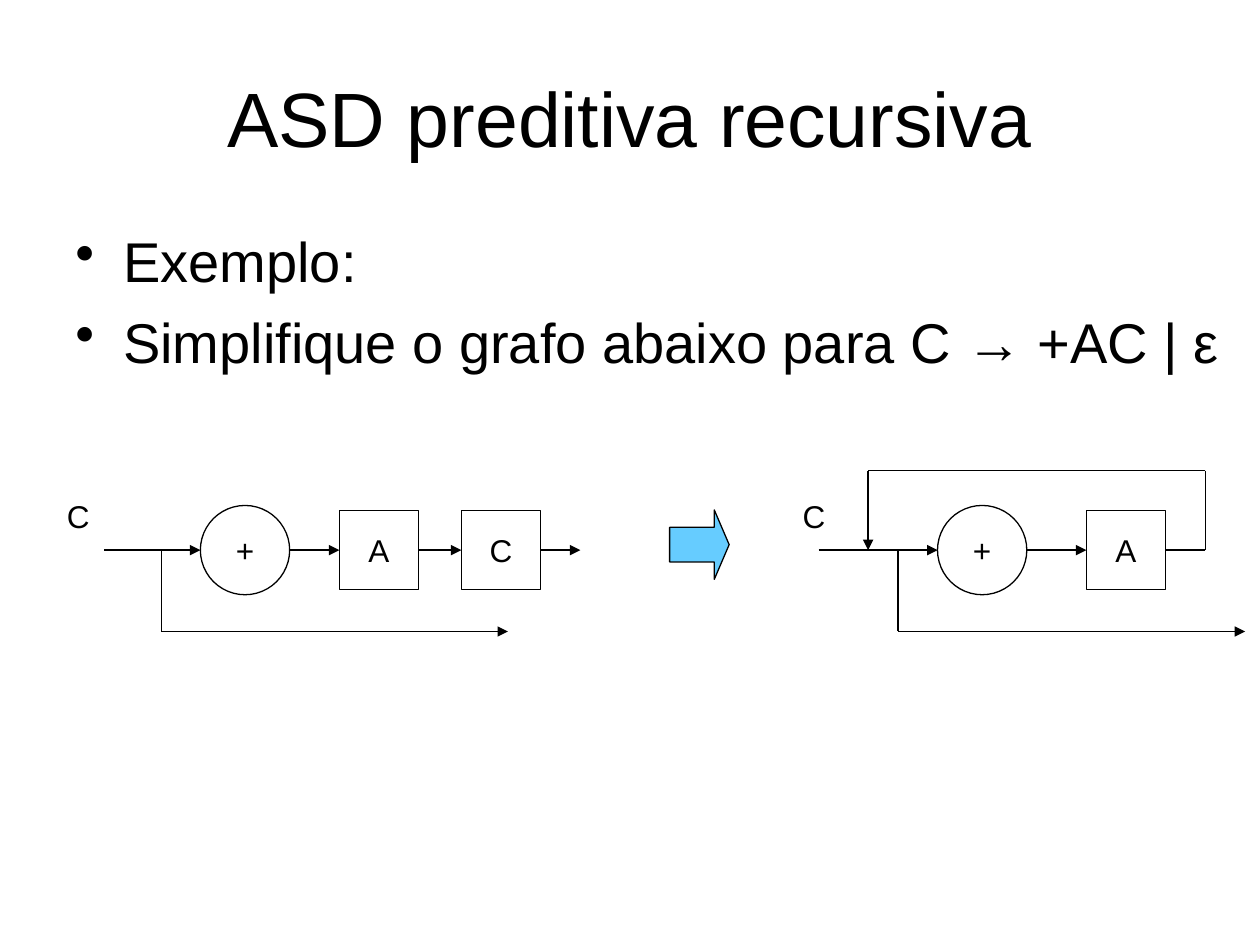
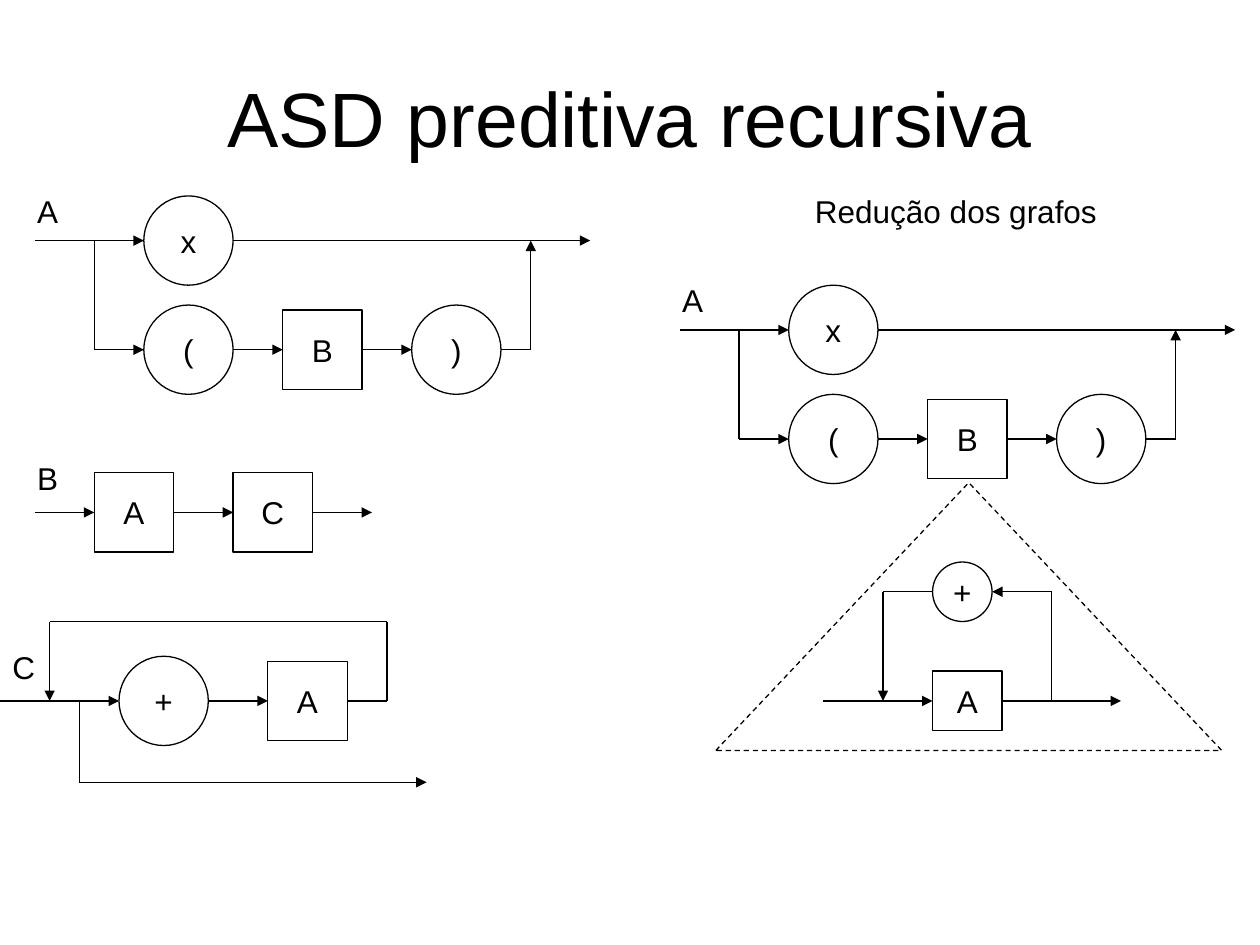
from itertools import pairwise

from lxml.etree import SubElement
from pptx import Presentation
from pptx.dml.color import RGBColor
from pptx.enum.dml import MSO_LINE
from pptx.enum.shapes import MSO_CONNECTOR, MSO_SHAPE
from pptx.enum.text import MSO_ANCHOR, PP_ALIGN
from pptx.oxml.ns import qn
from pptx.util import Inches, Mm, Pt

BLACK = RGBColor(0x00, 0x00, 0x00)
SKY = RGBColor(0x66, 0xCC, 0xFF)
FONT = "Arial"
THIN = Pt(0.75)
LEFT, RIGHT = 1, 3  # connection sites of a rectangle
CIRCLE, SQUARE = 9, 8  # usual node sizes, in grid cells


def cells(*counts):
    """Lengths on a grid of 2 mm cells."""
    return [round(count * Mm(2)) for count in counts]


def write(frame, text, size, align=PP_ALIGN.LEFT, wrap=True):
    frame.text = text
    frame.word_wrap = wrap
    for paragraph in frame.paragraphs:
        paragraph.alignment = align
        for run in paragraph.runs:
            run.font.name = FONT
            run.font.size = Pt(size)
            run.font.color.rgb = BLACK


prs = Presentation()
prs.slide_width, prs.slide_height = Inches(10), Inches(7.5)

# Slides with their shared title
example, reduction = [prs.slides.add_slide(prs.slide_layouts[6]) for _ in range(2)]
for slide in (example, reduction):
    title = slide.shapes.add_textbox(Inches(0.5), Inches(0.3), Inches(9), Inches(1.25))
    write(title.text_frame, "ASD preditiva recursiva", 44, PP_ALIGN.CENTER)
    title.text_frame.vertical_anchor = MSO_ANCHOR.MIDDLE

# Bulleted task
task = example.shapes.add_textbox(Inches(0.5), Inches(1.75), Inches(9.5), Inches(1.29))
write(task.text_frame, "Exemplo:\nSimplifique o grafo abaixo para C → +AC | ε", 32)
for paragraph in task.text_frame.paragraphs:
    properties = paragraph._p.get_or_add_pPr()
    properties.set("marL", str(Inches(0.38)))
    properties.set("indent", str(-Inches(0.38)))
    SubElement(properties, qn("a:buChar"), char="•")
task.text_frame.paragraphs[1].space_before = Pt(8)

# Syntax graphs: nodes are (symbol, column, row of the centre, width, height);
# each path runs through points or (symbol, side) and ends in an arrowhead.
graph_a = (
    [("x", 11, 0, CIRCLE, CIRCLE), ("(", 11, 11, CIRCLE, CIRCLE),
     ("B", 25, 11, SQUARE, SQUARE), (")", 38, 11, CIRCLE, CIRCLE)],
    [[(0, 0), ("x", LEFT)],
     [("x", RIGHT), (56, 0)],
     [(6, 0), (6, 11), ("(", LEFT)],
     [("(", RIGHT), ("B", LEFT)],
     [("B", RIGHT), (")", LEFT)],
     [(")", RIGHT), (50, 11), (50, 0)]],
)
graph_b = (
    [("A", 6, 0, SQUARE, SQUARE), ("C", 20, 0, SQUARE, SQUARE)],
    [[(0, 0), ("A", LEFT)],
     [("A", RIGHT), ("C", LEFT)],
     [("C", RIGHT), (34, 0)]],
)
graph_c = (
    [("+", 9.7, 0, CIRCLE, CIRCLE), ("A", 23.7, 0, SQUARE, SQUARE),
     ("C", 36, 0, SQUARE, SQUARE)],
    [[(0, 0), ("+", LEFT)],
     [("+", RIGHT), ("A", LEFT)],
     [("A", RIGHT), ("C", LEFT)],
     [("C", RIGHT), (48, 0)],
     [(5.75, 0), (5.75, 8.2), (40.7, 8.2)]],
)
graph_c_loop = (
    [("+", 12, 0, CIRCLE, CIRCLE), ("A", 27, 0, SQUARE, SQUARE)],
    [[(0, 0), ("+", LEFT)],
     [("+", RIGHT), ("A", LEFT)],
     [("A", RIGHT), (39, 0), (39, -8), (5, -8), (5, 0)],
     [(8, 0), (8, 8.2), (43, 8.2)]],
)
graph_b_reduced = (
    [("+", 11, -11, 6, 6), ("A", 11, 0, 7, 6)],
    [[(0, 0), ("A", LEFT)],
     [("A", RIGHT), (30, 0)],
     [(23, 0), (23, -11), ("+", RIGHT)],
     [("+", LEFT), (6, -11), (6, 0)]],
)

# Placements: slide, graph, column and row of the entry, name and its offset
placements = [
    (example, graph_c, 10.5, 55.45, "C", -5, -6),
    (example, graph_c_loop, 82.5, 55.45, "C", -2.85, -6),
    (reduction, graph_a, 3.5, 24.25, "A", -1, -5.5),
    (reduction, graph_b, 3.5, 51.65, "B", -1, -6),
    (reduction, graph_c_loop, 0, 70.65, "C", 0, -6),
    (reduction, graph_a, 68.5, 33.25, "A", -1, -5.5),
    (reduction, graph_b_reduced, 83, 70.65, "", 0, 0),
]

for slide, (nodes, paths), column, row, name, name_dx, name_dy in placements:
    if name:
        rule_name = slide.shapes.add_textbox(*cells(column + name_dx, row + name_dy, 6, 5))
        write(rule_name.text_frame, name, 18)

    # Terminals are circles, nonterminals are boxes
    ports, boxes = {}, {}
    for symbol, x, y, width, height in nodes:
        outline = MSO_SHAPE.RECTANGLE if symbol.isupper() else MSO_SHAPE.OVAL
        node = slide.shapes.add_shape(
            outline, *cells(column + x, row + y - height / 2, width, height))
        node.shadow.inherit = False
        node.fill.background()
        node.line.color.rgb = BLACK
        node.line.width = THIN
        write(node.text_frame, symbol, 18, PP_ALIGN.CENTER, wrap=False)
        node.text_frame.vertical_anchor = MSO_ANCHOR.MIDDLE
        ports[symbol, LEFT], ports[symbol, RIGHT] = (x, y), (x + width, y)
        if symbol.isupper():
            boxes[symbol] = node

    # Paths between them
    for path in paths:
        for start, end in pairwise(path):
            (x1, y1), (x2, y2) = ports.get(start, start), ports.get(end, end)
            wire = slide.shapes.add_connector(
                MSO_CONNECTOR.STRAIGHT,
                *cells(column + x1, row + y1, column + x2, row + y2))
            if start[0] in boxes:
                wire.begin_connect(boxes[start[0]], start[1])
            if end[0] in boxes:
                wire.end_connect(boxes[end[0]], end[1])
            wire.line.color.rgb = BLACK
            wire.line.width = THIN
            SubElement(wire._element.spPr, qn("a:effectLst"))
        SubElement(wire.line._get_or_add_ln(), qn("a:tailEnd"), type="triangle")

# Block arrow between the two forms of C
becomes = example.shapes.add_shape(MSO_SHAPE.RIGHT_ARROW, *cells(67.5, 51.4, 6, 7))
becomes.adjustments[1] = 0.25
becomes.fill.solid()
becomes.fill.fore_color.rgb = SKY

# Dashed triangle that expands B
expansion = reduction.shapes.add_shape(
    MSO_SHAPE.FLOWCHART_EXTRACT, *cells(72.15, 48.65, 51, 27))
expansion.fill.background()
expansion.line.dash_style = MSO_LINE.DASH
for figure in (becomes, expansion):
    figure.shadow.inherit = False
    figure.line.color.rgb = BLACK
    figure.line.width = THIN

# Heading of the reduced graphs
heading = reduction.shapes.add_textbox(*cells(80.9, 18.7, 34, 5))
write(heading.text_frame, "Redução dos grafos", 18)

prs.save("out.pptx")
